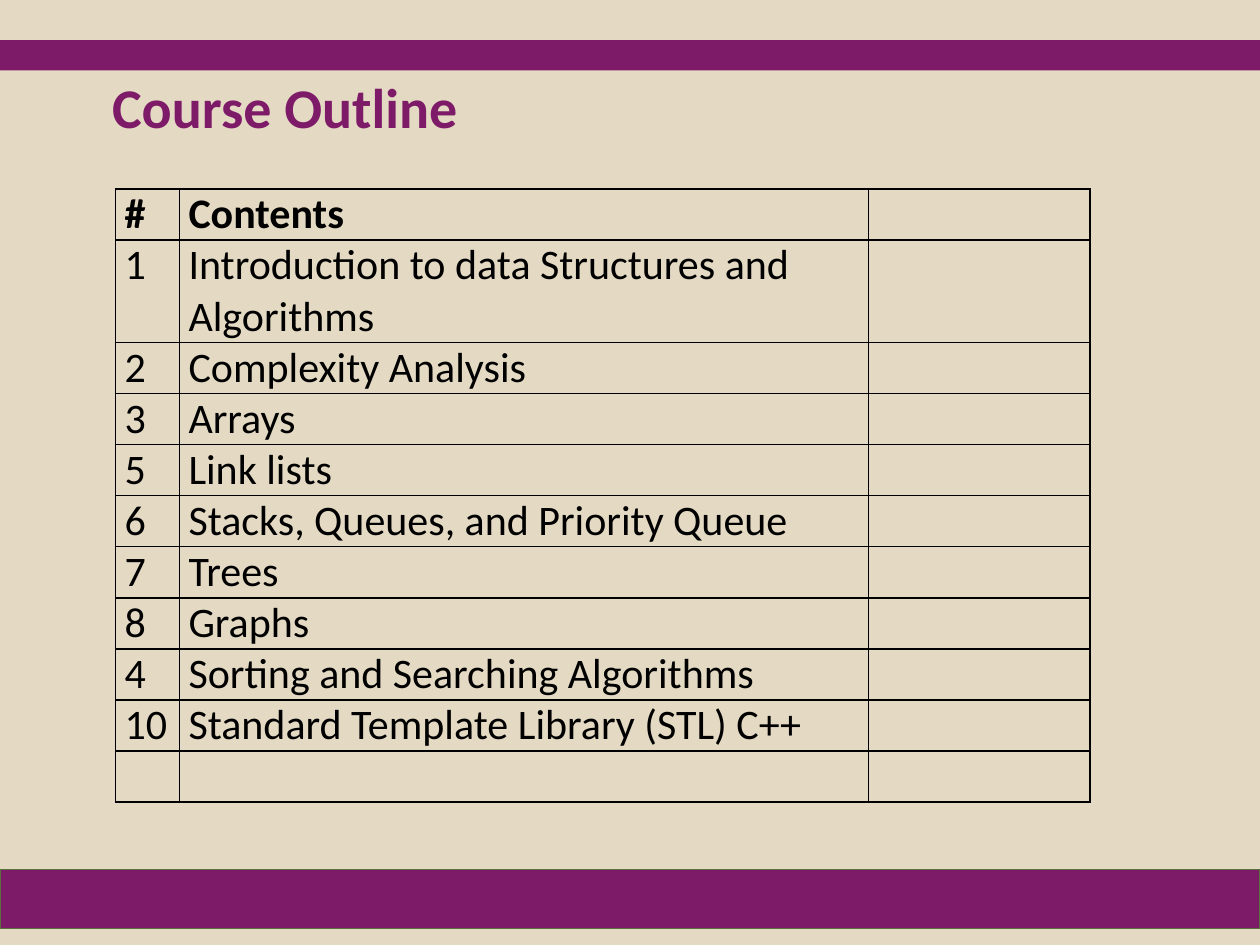
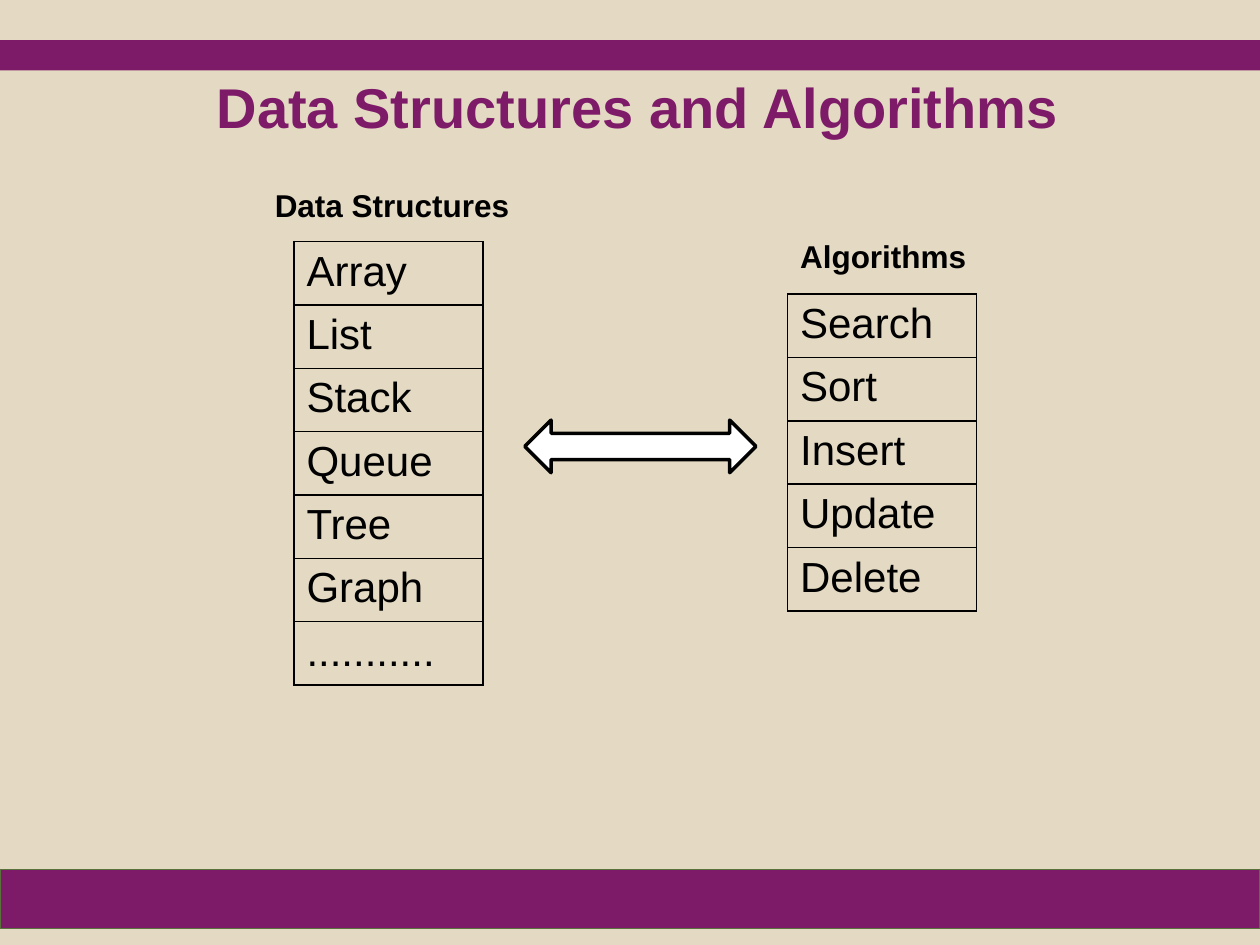
from lxml import etree
from pptx import Presentation
from pptx.dml.color import RGBColor
from pptx.enum.shapes import MSO_SHAPE
from pptx.oxml.ns import qn
from pptx.util import Cm, Pt

RECTANGLE = MSO_SHAPE.RECTANGLE
DOUBLE_ARROW = MSO_SHAPE.LEFT_RIGHT_ARROW

COLORS = {"sand": "E4DAC4", "plum": "7E1B68", "moss": "59713D",
          "ink": "000000", "white": "FFFFFF"}
RGB = {name: RGBColor.from_string(value) for name, value in COLORS.items()}


def add_label(slide, text, left, top, width, height, font_name, size, color, inset=None):
    """Add a bold text box; inset replaces the default margins on all sides."""
    frame = slide.shapes.add_textbox(Cm(left), Cm(top), Cm(width), Cm(height)).text_frame
    frame.word_wrap = True
    if inset is not None:
        frame.margin_left = frame.margin_right = Cm(inset)
        frame.margin_top = frame.margin_bottom = Cm(inset)
    line = frame.paragraphs[0]
    line.text = text
    line.font.name, line.font.size, line.font.bold = font_name, Pt(size), True
    line.font.color.rgb = RGB[color]


def add_ruled_table(slide, rows, left, top, widths, heights, font_name, margins, header=False):
    """Add an unfilled table with thin black rules; margins are (side, top and bottom)."""
    table = slide.shapes.add_table(len(rows), len(widths), Cm(left), Cm(top),
                                   Cm(sum(widths)), Cm(sum(heights))).table
    table.first_row = header
    table.horz_banding = False
    for column, width in zip(table.columns, widths):
        column.width = Cm(width)
    for r, (row, height) in enumerate(zip(rows, heights)):
        table.rows[r].height = Cm(height)
        for c, text in enumerate(row):
            cell = table.cell(r, c)
            cell.margin_left = cell.margin_right = Cm(margins[0])
            cell.margin_top = cell.margin_bottom = Cm(margins[1])
            properties = cell._tc.get_or_add_tcPr()
            for side in ("lnL", "lnR", "lnT", "lnB"):
                rule = etree.SubElement(properties, qn(f"a:{side}"), w=str(Pt(1)))
                fill = etree.SubElement(rule, qn("a:solidFill"))
                etree.SubElement(fill, qn("a:srgbClr"), val=COLORS["ink"])
            cell.fill.background()
            line = cell.text_frame.paragraphs[0]
            line.text = text
            line.font.name, line.font.size = font_name, Pt(24)
            line.font.bold = header and r == 0
            line.font.color.rgb = RGB["ink"]


presentation = Presentation()
presentation.slide_width, presentation.slide_height = Cm(25.4), Cm(19.05)

# Shared background, bands and title
slides = []
for title, left, width, font_name in [
    ("Course Outline", 2.26, 22.3, "Calibri"),
    ("Data Structures and Algorithms", 4.37, 17.42, "Arial"),
]:
    slide = presentation.slides.add_slide(presentation.slide_layouts[6])
    slide.background.fill.solid()
    slide.background.fill.fore_color.rgb = RGB["sand"]
    for top, height, outline in [(0.81, 0.61, None), (17.53, 1.19, "moss")]:
        band = slide.shapes.add_shape(RECTANGLE, 0, Cm(top), presentation.slide_width, Cm(height))
        band.shadow.inherit = False
        band.fill.solid()
        band.fill.fore_color.rgb = RGB["plum"]
        if outline:
            band.line.color.rgb = RGB[outline]
            band.line.width = Pt(0.75)
        else:
            band.line.fill.background()
    add_label(slide, title, left, 1.47, width, 2.06, font_name, 32, "plum", inset=0)
    slides.append(slide)
outline_slide, topics_slide = slides

# Course outline
chapters = [
    ("#", "Contents"),
    ("1", "Introduction to data Structures and Algorithms"),
    ("2", "Complexity Analysis"),
    ("3", "Arrays"),
    ("5", "Link lists"),
    ("6", "Stacks, Queues, and Priority Queue"),
    ("7", "Trees"),
    ("8", "Graphs"),
    ("4", "Sorting and Searching Algorithms"),
    ("10", "Standard Template Library (STL) C++"),
    ("", ""),
]
LINE = 1.03
chapter_heights = [LINE] * len(chapters)
chapter_heights[1] = 2 * LINE
add_ruled_table(outline_slide, [(*chapter, "") for chapter in chapters], 2.33, 3.81,
                [1.29, 13.89, 4.46], chapter_heights, "Calibri", (0.18, 0), header=True)

# Data structures and the algorithms that work on them
for heading, heading_left, heading_top, heading_width, left, top, entries in [
    ("Data Structures", 5.29, 3.63, 5.29, 5.93, 4.87,
     ["Array", "List", "Stack", "Queue", "Tree", "Graph", "..........."]),
    ("Algorithms", 15.88, 4.66, 4.45, 15.88, 5.93,
     ["Search", "Sort", "Insert", "Update", "Delete"]),
]:
    add_label(topics_slide, heading, heading_left, heading_top, heading_width, 1.02,
              "Arial", 18, "ink")
    add_ruled_table(topics_slide, [(entry,) for entry in entries], left, top,
                    [3.81], [1.2] * len(entries), "Arial", (0.25, 0.13))

exchange = topics_slide.shapes.add_shape(DOUBLE_ARROW, Cm(10.58), Cm(8.47), Cm(4.66), Cm(1.06))
exchange.shadow.inherit = False
exchange.fill.solid()
exchange.fill.fore_color.rgb = RGB["white"]
exchange.line.color.rgb = RGB["ink"]
exchange.line.width = Pt(2)

presentation.save("out.pptx")
